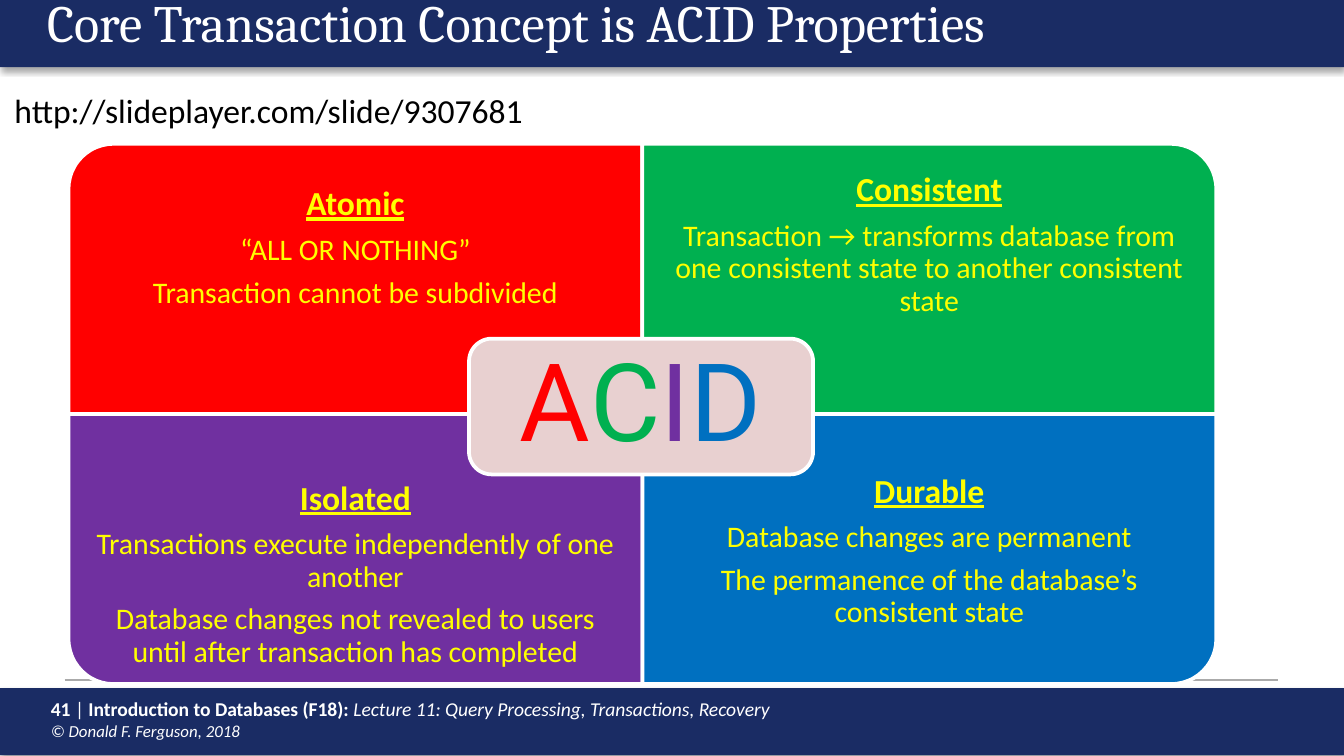
from lxml import etree
from pptx import Presentation, util as u
from pptx.dml.color import RGBColor
from pptx.enum import shapes, text
from pptx.oxml.ns import qn

COLORS = {
    "navy": "1A2C64", "white": "FFFFFF", "rule": "AAAAAA", "black": "000000",
    "yellow": "FFFF00", "blush": "E8D0D0", "red": "FF0000",
    "green": "00B050", "purple": "7030A0", "blue": "0070C0",
}
COLUMNS, ROWS = 100, 56.25
PANEL_W, PANEL_H, TEXT_H = 42.7, 20.1, 15.1
PANEL_LEFT, PANEL_TOP = 5.1, 10.7
INSET = 1.4
TOP, MIDDLE = text.MSO_ANCHOR.TOP, text.MSO_ANCHOR.MIDDLE

# name, statements, colour, column, row, rotation, text anchor, bottom inset
PANELS = [
    ("Atomic", ["“ALL OR NOTHING”", "Transaction cannot be subdivided"],
     "red", 0, 0, 270, MIDDLE, INSET),
    ("Consistent", ["Transaction → transforms database from one consistent "
                    "state to another consistent state"],
     "green", 1, 0, 0, MIDDLE, INSET),
    ("Isolated", ["Transactions execute independently of one another",
                  "Database changes not revealed to users until after "
                  "transaction has completed"],
     "purple", 0, 1, 180, TOP, INSET),
    ("Durable", ["Database changes are permanent",
                 "The permanence of the database’s consistent state"],
     "blue", 1, 1, 90, MIDDLE, 4.6),
]


def rgb(name):
    return RGBColor.from_string(COLORS[name])


class SlideBuilder:
    """Places styled elements on one slide; lengths are grid columns and rows."""

    def __init__(self, deck):
        self.deck = deck
        self.page = deck.slides.add_slide(deck.slide_layouts[5])

    def x(self, columns):
        return u.Emu(round(self.deck.slide_width * columns / COLUMNS))

    def y(self, rows):
        return u.Emu(round(self.deck.slide_height * rows / ROWS))

    def area(self, left, top, width, height):
        return self.x(left), self.y(top), self.x(width), self.y(height)

    def style(self, font, size, color, name="Calibri", bold=None,
              italic=None, underline=None):
        font.size, font.name = u.Pt(size), name
        font.color.rgb = rgb(color)
        font.bold, font.italic, font.underline = bold, italic, underline

    def shape(self, kind, area, fill, outline=None, rotation=0):
        shape = self.page.shapes.add_shape(kind, *self.area(*area))
        shape.shadow.inherit = False
        shape.fill.solid()
        shape.fill.fore_color.rgb = rgb(fill)
        if outline:
            shape.line.color.rgb = rgb(outline)
            shape.line.width = u.Pt(2)
        else:
            shape.line.fill.background()
        shape.rotation = rotation
        return shape

    def bar(self, top, height):
        """Full-width navy band with a soft shadow below it."""
        bar = self.shape(shapes.MSO_SHAPE.RECTANGLE, (0, top, COLUMNS, height), "navy")
        effects = bar.element.spPr.find(qn("a:effectLst"))
        shadow = etree.SubElement(
            effects, qn("a:outerShdw"), blurRad=str(u.Pt(3.1)),
            dist=str(u.Pt(1.8)), dir="5400000", rotWithShape="0")
        color = etree.SubElement(shadow, qn("a:srgbClr"), val=COLORS["black"])
        etree.SubElement(color, qn("a:alpha"), val="35000")

    def rule(self, left, right, row):
        line = self.page.shapes.add_connector(
            shapes.MSO_CONNECTOR.STRAIGHT,
            self.x(left), self.y(row), self.x(right), self.y(row))
        line.line.color.rgb = rgb("rule")
        line.line.width = u.Pt(0.75)
        etree.SubElement(line.element.spPr, qn("a:effectLst"))

    def title(self, wording, area):
        title = self.page.shapes.title
        title.left, title.top, title.width, title.height = self.area(*area)
        self.page.shapes.element.append(title.element)  # in front of the bar
        title.text_frame.text = wording
        title.text_frame.vertical_anchor = MIDDLE
        para = title.text_frame.paragraphs[0]
        para.alignment = text.PP_ALIGN.LEFT
        para.line_spacing = 0.9
        self.style(para.font, 28, "white", "Cambria")

    def box(self, area, wrap=True, anchor=TOP, insets=(1, 0.5, 1, 0.5)):
        frame = self.page.shapes.add_textbox(*self.area(*area)).text_frame
        frame.word_wrap, frame.vertical_anchor = wrap, anchor
        left, top, right, bottom = insets
        frame.margin_left, frame.margin_right = self.x(left), self.x(right)
        frame.margin_top, frame.margin_bottom = self.y(top), self.y(bottom)
        return frame

    def spans(self, para, parts):
        """Add runs given as (wording, font settings)."""
        for wording, settings in parts:
            span = para.add_run()
            span.text = wording
            self.style(span.font, **settings)

    def centred(self, para, size):
        para.alignment = text.PP_ALIGN.CENTER
        para.line_spacing = 0.9
        para.space_after = u.Pt(round(size * 0.35, 1))

    def panel(self, name, statements, color, column, row, rotation, anchor, bottom):
        left = PANEL_LEFT + column * PANEL_W
        top = PANEL_TOP + row * PANEL_H
        width, height = PANEL_W, PANEL_H
        if rotation % 180:
            width, height = height, width
        self.shape(shapes.MSO_SHAPE.ROUND_1_RECTANGLE,
                   (left + (PANEL_W - width) / 2, top + (PANEL_H - height) / 2,
                    width, height), color, "white", rotation)
        text_top = top + row * (PANEL_H - TEXT_H)
        if rotation == 270:
            text_top += 0.2
        frame = self.box((left, text_top, PANEL_W, TEXT_H), anchor=anchor,
                         insets=(INSET, 0 if row else INSET, INSET, bottom))
        for index, wording in enumerate([name, *statements]):
            para = frame.add_paragraph() if index else frame.paragraphs[0]
            heading = index == 0
            size = 18 if heading else 16
            para.text = wording
            self.centred(para, size)
            self.style(para.font, size, "yellow", bold=heading, underline=heading)

    def badge(self, area, letters):
        self.shape(shapes.MSO_SHAPE.ROUNDED_RECTANGLE, area, "blush", "white")
        left, top, width, height = area
        frame = self.box((left + 0.45, top + 0.5, width - 1, height - 1),
                         anchor=MIDDLE, insets=(2.4,) * 4)
        para = frame.paragraphs[0]
        self.centred(para, 58)
        self.spans(para, [(letter, dict(size=58, color=color, name="Roboto"))
                          for letter, color in letters])

    def footer(self, area):
        para = self.box(area).paragraphs[0]
        line = dict(size=10.5, color="white")
        self.spans(para, [
            ("41 ", line | {"bold": True}),
            ("|", line),
            (" Introduction to Databases (F18): ", line | {"bold": True}),
            ("Lecture 11: Query Processing, Transactions, Recovery",
             line | {"italic": True}),
        ])
        para.add_line_break()
        self.spans(para, [("© Donald F. Ferguson, 2018",
                           line | {"size": 9, "italic": True})])

    def link(self, wording, area):
        para = self.box(area, wrap=False).paragraphs[0]
        para.text = wording
        self.style(para.font, 18, "black")


def main():
    deck = Presentation()
    deck.slide_width, deck.slide_height = u.Inches(10), u.Inches(5.625)
    slide = SlideBuilder(deck)
    slide.bar(51.2, 5)
    slide.footer((2.8, 51.4, 74.2, 4.3))
    slide.bar(0, 5)
    slide.rule(4.8, 95.1, 50.6)
    slide.title("Core Transaction Concept is ACID Properties", (2.5, -0.2, 90.6, 4.2))
    for panel in PANELS:
        slide.panel(*panel)
    slide.badge((34.9, 25.2, 25.6, 10.1),
                [(panel[0][0], panel[2]) for panel in PANELS])
    slide.link("http://slideplayer.com/slide/9307681", (0.1, 6.2, 40.3, 4))
    deck.save("out.pptx")


if __name__ == "__main__":
    main()
